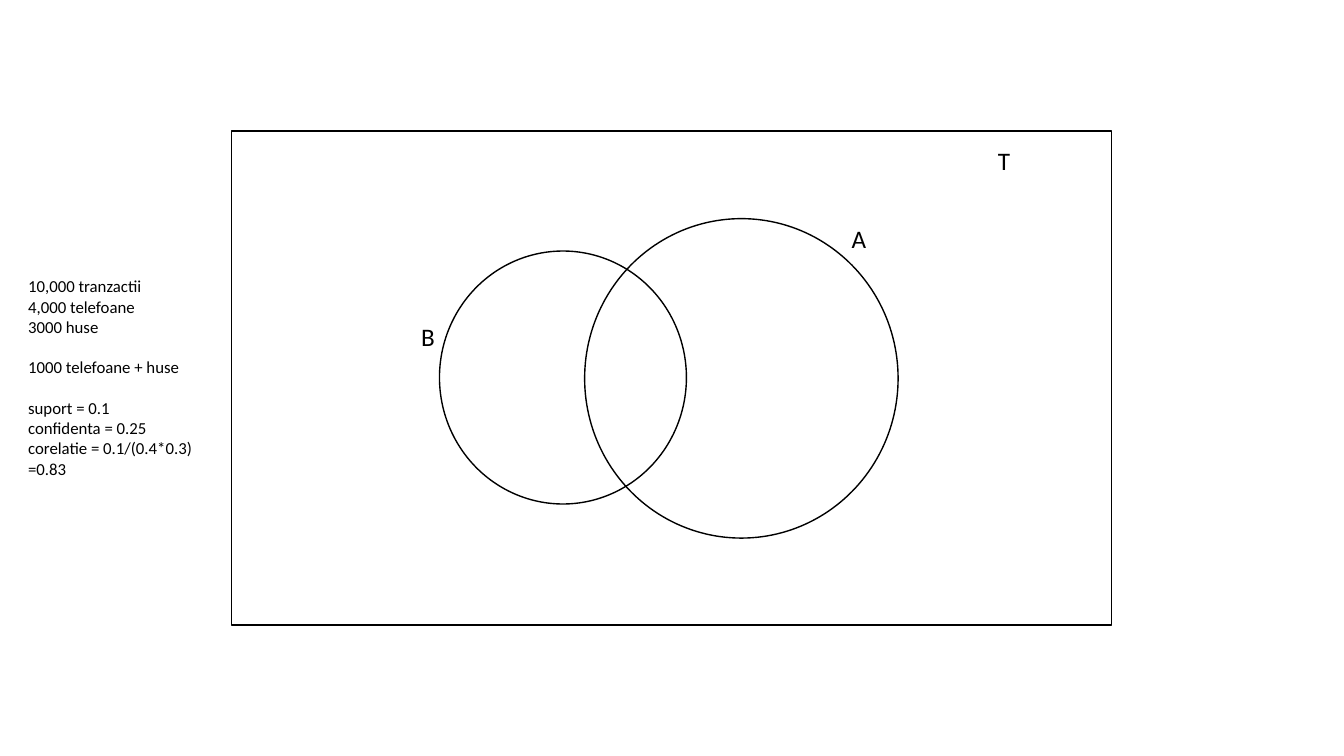
from pptx import Presentation
from pptx.dml.color import RGBColor
from pptx.enum.shapes import MSO_SHAPE
from pptx.enum.text import MSO_AUTO_SIZE
from pptx.util import Pt

RECT, OVAL = MSO_SHAPE.RECTANGLE, MSO_SHAPE.OVAL
GROW = MSO_AUTO_SIZE.SHAPE_TO_FIT_TEXT
FONT, BLACK = "Calibri", "000000"
LINE = 14.65
SETS = [(148.3, 85.7, 176.4, 180.7), (252, 62.6, 223.9, 228.2)]
LABELS = [("T", 540, 6.5, 23), ("A", 435.6, 62.6, 25.2), ("B", 128.2, 132.5, 24.5)]
NOTES = [
    ["10,000 tranzactii", "4,000 telefoane", "3000 huse"],
    ["1000 telefoane + huse"],
    ["suport = 0.1", "confidenta = 0.25", "corelatie = 0.1/(0.4*0.3) =0.83"],
]


def color(code):
    return RGBColor.from_string(code)


def outline(slide, kind, box):
    shape = slide.shapes.add_shape(kind, *map(Pt, box))
    shape.shadow.inherit = False
    shape.fill.background()
    shape.line.color.rgb = color(BLACK)
    shape.line.width = Pt(1)


def text(slide, box, words, size, wrap):
    frame = slide.shapes.add_textbox(*map(Pt, box)).text_frame
    frame.word_wrap = wrap
    frame.auto_size = GROW
    frame.text = words
    for para in frame.paragraphs:
        for run in para.runs:
            run.font.name = FONT
            run.font.size = Pt(size)
            run.font.color.rgb = color(BLACK)
    return frame


def venn(slide, box):
    left, top = box[:2]
    outline(slide, RECT, box)
    for x, y, width, height in SETS:
        outline(slide, OVAL, (left + x, top + y, width, height))
    for name, x, y, width in LABELS:
        text(slide, (left + x, top + y, width, 29), name, 18, False)


def notes(slide, box):
    words = "\n".join(line for group in NOTES for line in group)
    frame = text(slide, box, words, 12, True)
    last = 0
    for group in NOTES[:-1]:
        last += len(group)
        frame.paragraphs[last - 1].space_after = Pt(LINE)


deck = Presentation()
deck.slide_width, deck.slide_height = Pt(960), Pt(540)
page = deck.slides.add_slide(deck.slide_layouts[6])
venn(page, (165.6, 93.6, 628.6, 352.8))
notes(page, (13, 193.7, 141.1, 152.6))
deck.save("out.pptx")
